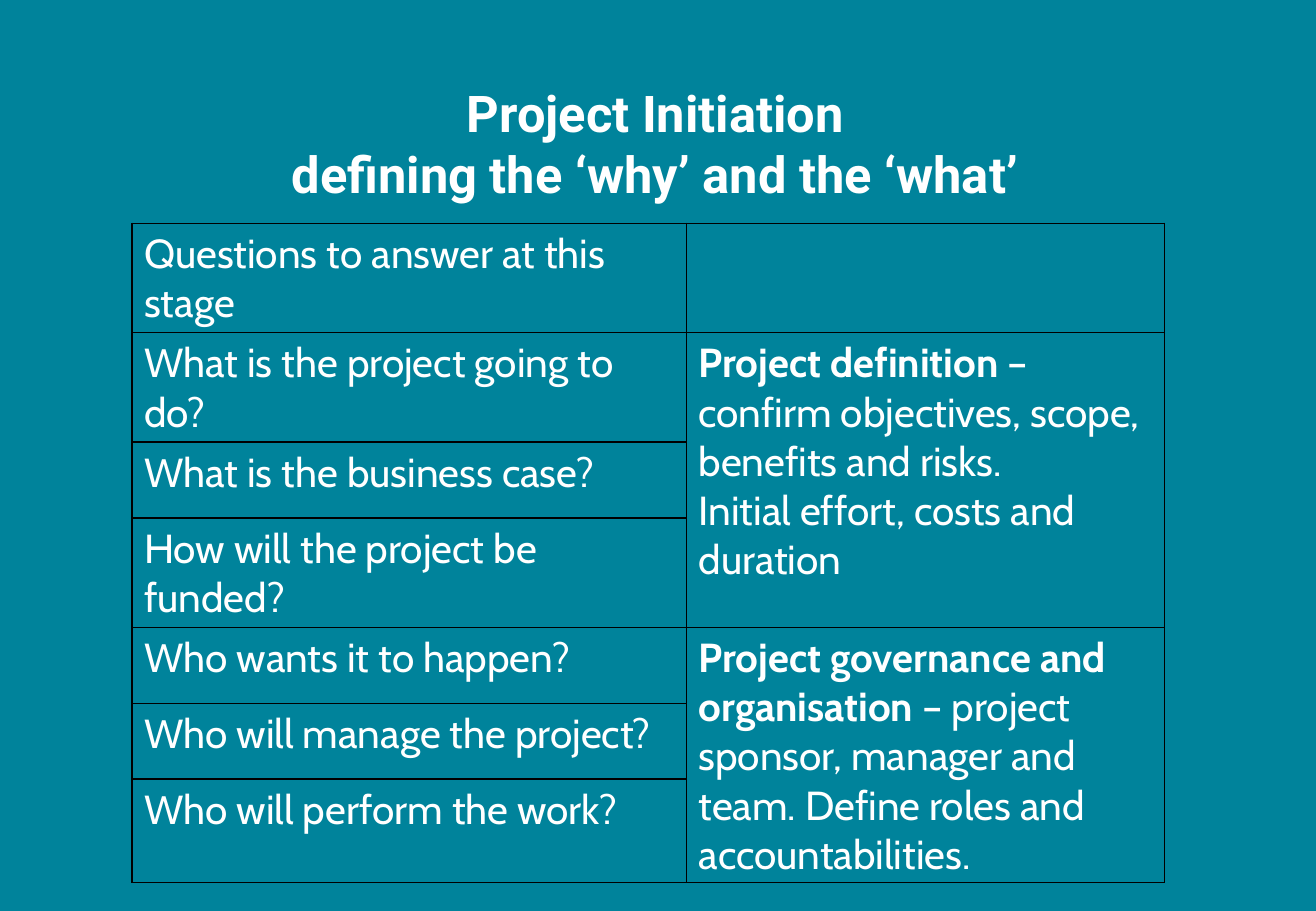
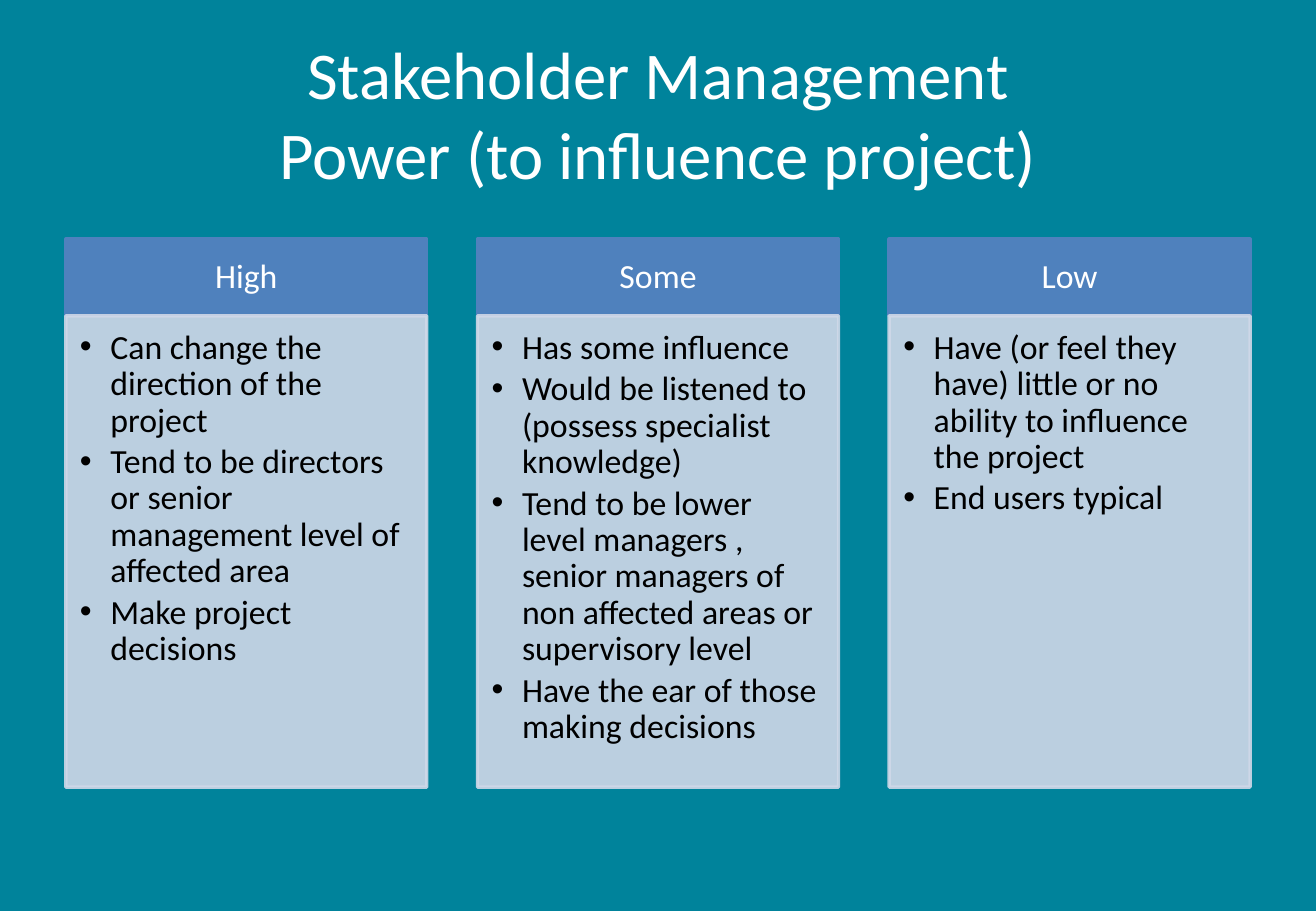
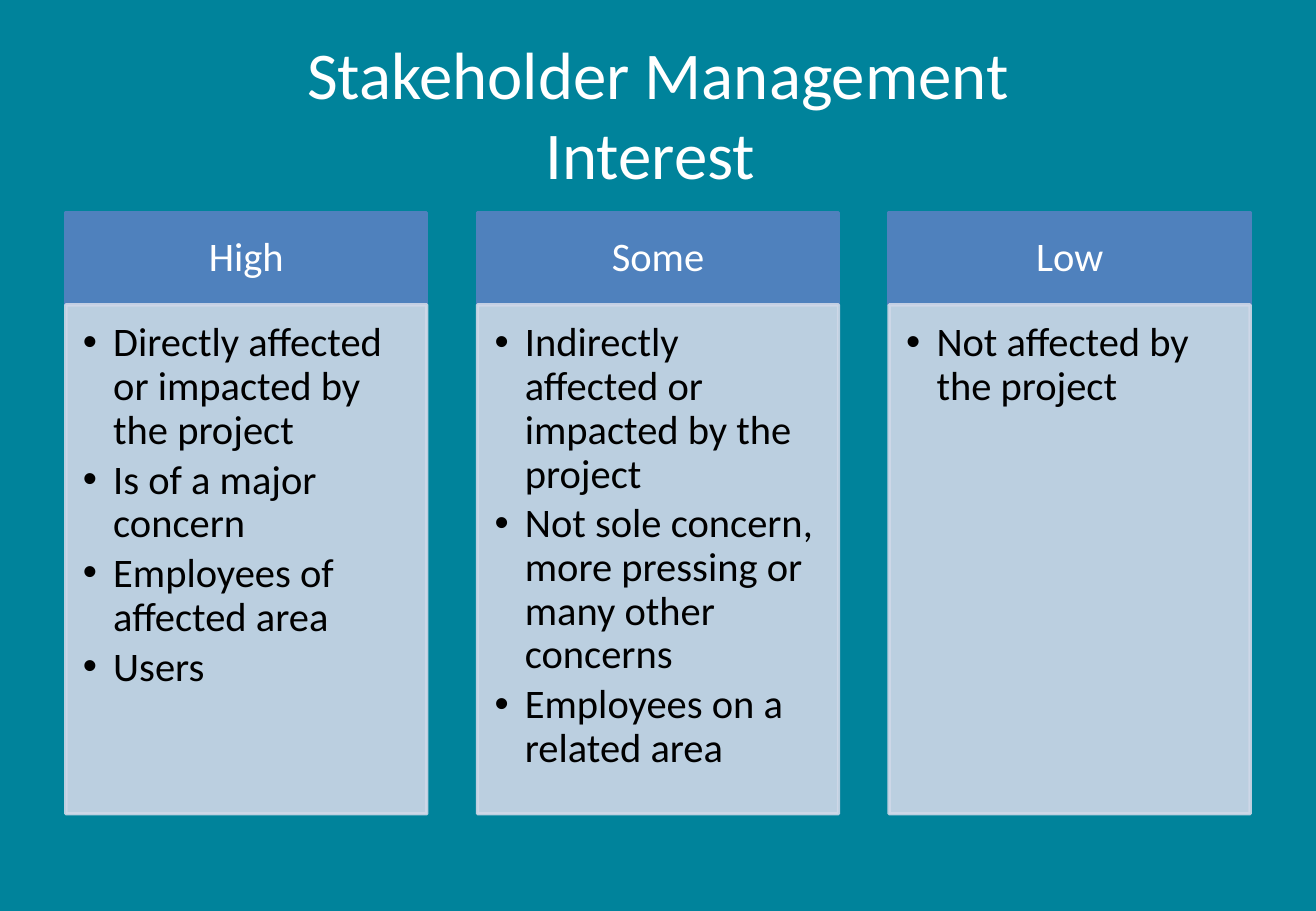
from dataclasses import dataclass

from lxml.etree import SubElement
from pptx import Presentation
from pptx.dml.color import RGBColor
from pptx.enum.shapes import MSO_SHAPE
from pptx.enum.text import MSO_ANCHOR, PP_ALIGN
from pptx.oxml.ns import qn
from pptx.util import Pt

BACKGROUND = "00839B"
WHITE = "FFFFFF"
BLACK = "000000"
HEADER_BLUE = "4F81BD"
BODY_BLUE = "D0D8E8"
BODY_OPACITY = 90

MARGIN = 39
COLUMN_WIDTH = 214
COLUMN_GAP = 30


@dataclass(frozen=True)
class Box:
    left: float
    top: float
    width: float
    height: float

    def lengths(self):
        return Pt(self.left), Pt(self.top), Pt(self.width), Pt(self.height)


@dataclass(frozen=True)
class TitleStyle:
    box: Box
    font_name: str
    size: float
    bold: bool = False


@dataclass(frozen=True)
class Column:
    heading: str
    points: tuple[str, ...]


@dataclass(frozen=True)
class ColumnSlide:
    title: str
    top: float
    header_height: float
    body_height: float
    size: float
    columns: tuple[Column, ...]


@dataclass(frozen=True)
class Answer:
    """A right-hand table cell; paragraphs hold (text, bold) runs."""
    first_row: int
    last_row: int
    paragraphs: tuple[tuple[tuple[str, bool], ...], ...]


INITIATION_TITLE = TitleStyle(Box(56, 42.5, 665, 84), "Roboto", 30, True)
STAKEHOLDER_TITLE = TitleStyle(Box(MARGIN, 21.6, 702, 90), "Calibri", 39.6)

TABLE_BOX = Box(78.3, 132.4, 612, 315)
TABLE_COLUMN_WIDTHS = (328.6, 283.4)
QUESTIONS = (
    "Questions to answer at this stage",
    "What is the project going to do?",
    "What is the business case?",
    "How will the project be funded?",
    "Who wants it to happen?",
    "Who will manage the project?",
    "Who will perform the work?",
)
ANSWERS = (
    Answer(1, 3, (
        (("Project definition ", True),
         ("– confirm objectives, scope, benefits and risks.", False)),
        (("Initial effort, costs and duration", False),),
    )),
    Answer(4, 6, (
        (("Project governance and organisation", True),
         (" – project sponsor, manager and team. "
          "Define roles and accountabilities.", False)),
    )),
)

POWER = ColumnSlide(
    "Stakeholder Management\vPower (to influence project)", 141.8, 45.4, 279.4, 20,
    (
        Column("High", (
            "Can change the direction of the project",
            "Tend to be directors or senior management level of affected area",
            "Make project decisions",
        )),
        Column("Some", (
            "Has some influence",
            "Would be listened to (possess specialist knowledge)",
            "Tend to be lower level managers , senior managers of "
            "non affected areas or supervisory level",
            "Have the ear of those making decisions",
        )),
        Column("Low", (
            "Have (or feel they have) little or no ability to influence the project",
            "End users typical",
        )),
    ),
)
INTEREST = ColumnSlide(
    "Stakeholder Management\vInterest ", 126, 54.7, 301.7, 24,
    (
        Column("High", (
            "Directly affected or impacted by the project",
            "Is of a major concern",
            "Employees of affected area",
            "Users",
        )),
        Column("Some", (
            "Indirectly affected or impacted by the project",
            "Not sole concern, more pressing or many other concerns",
            "Employees on a related area",
        )),
        Column("Low", ("Not affected by the project",)),
    ),
)


def color(value: str) -> RGBColor:
    return RGBColor.from_string(value)


def set_font(font, name: str, size: float, value: str, bold: bool = False) -> None:
    font.name = name
    font.size = Pt(size)
    font.bold = bold
    font.color.rgb = color(value)


def set_insets(frame, left: float, top: float, right: float, bottom: float) -> None:
    frame.margin_left, frame.margin_top = Pt(left), Pt(top)
    frame.margin_right, frame.margin_bottom = Pt(right), Pt(bottom)


def add_title(slide, text: str, style: TitleStyle) -> None:
    frame = slide.shapes.add_textbox(*style.box.lengths()).text_frame
    frame.word_wrap = True
    frame.vertical_anchor = MSO_ANCHOR.MIDDLE
    paragraph = frame.paragraphs[0]
    paragraph.text = text
    paragraph.alignment = PP_ALIGN.CENTER
    set_font(paragraph.font, style.font_name, style.size, WHITE, style.bold)


def add_panel(slide, box: Box, value: str, opacity: int = 100):
    """Add a rectangle whose fill and outline share a colour and opacity."""
    shape = slide.shapes.add_shape(MSO_SHAPE.RECTANGLE, *box.lengths())
    shape.shadow.inherit = False
    shape.fill.solid()
    shape.fill.fore_color.rgb = color(value)
    shape.line.color.rgb = color(value)
    shape.line.width = Pt(2)
    if opacity < 100:
        for element in shape._element.spPr.iter(qn("a:srgbClr")):
            SubElement(element, qn("a:alpha"), val=str(opacity * 1000))
    shape.text_frame.word_wrap = True
    return shape


def add_bullet(paragraph) -> None:
    properties = paragraph._p.get_or_add_pPr()
    properties.set("marL", str(Pt(18)))
    properties.set("indent", str(-Pt(18)))
    SubElement(properties, qn("a:buFont"), typeface="Arial")
    SubElement(properties, qn("a:buChar"), char="•")


def add_column(slide, column: Column, left: float, layout: ColumnSlide) -> None:
    size = layout.size
    header_box = Box(left, layout.top, COLUMN_WIDTH, layout.header_height)
    header = add_panel(slide, header_box, HEADER_BLUE).text_frame
    set_insets(header, 0.56 * size, 0.32 * size, 0.56 * size, 0.32 * size)
    header.vertical_anchor = MSO_ANCHOR.MIDDLE
    heading = header.paragraphs[0]
    heading.text = column.heading
    heading.alignment = PP_ALIGN.CENTER
    heading.line_spacing = 0.9
    set_font(heading.font, "Calibri", size, WHITE)

    body_top = layout.top + layout.header_height
    body_box = Box(left, body_top, COLUMN_WIDTH, layout.body_height)
    body = add_panel(slide, body_box, BODY_BLUE, BODY_OPACITY).text_frame
    set_insets(body, 0.42 * size, 0.42 * size, 0.56 * size, 0.63 * size)
    body.vertical_anchor = MSO_ANCHOR.TOP
    for index, point in enumerate(column.points):
        paragraph = body.add_paragraph() if index else body.paragraphs[0]
        paragraph.text = point
        paragraph.alignment = PP_ALIGN.LEFT
        paragraph.line_spacing = 0.9
        paragraph.space_after = Pt(0.15 * size)
        add_bullet(paragraph)
        set_font(paragraph.font, "Calibri", size, BLACK)


def add_column_slide(slide, layout: ColumnSlide) -> None:
    add_title(slide, layout.title, STAKEHOLDER_TITLE)
    for index, column in enumerate(layout.columns):
        add_column(slide, column, MARGIN + index * (COLUMN_WIDTH + COLUMN_GAP), layout)


def style_cell(cell) -> None:
    """Clear the fill and draw thin black borders on all four sides."""
    properties = cell._tc.get_or_add_tcPr()
    for side in ("lnL", "lnR", "lnT", "lnB"):
        line = SubElement(properties, qn(f"a:{side}"), w=str(Pt(1)))
        fill = SubElement(line, qn("a:solidFill"))
        SubElement(fill, qn("a:srgbClr"), val=BLACK)
    cell.fill.background()


def write_cell(cell, paragraphs) -> None:
    set_insets(cell, 7.2, 3.6, 7.2, 3.6)
    frame = cell.text_frame
    for index, runs in enumerate(paragraphs):
        paragraph = frame.add_paragraph() if index else frame.paragraphs[0]
        for text, bold in runs:
            run = paragraph.add_run()
            run.text = text
            set_font(run.font, "Cabin", 24, WHITE, bold)


def add_question_table(slide) -> None:
    table = slide.shapes.add_table(len(QUESTIONS), 2, *TABLE_BOX.lengths()).table
    table.first_row = table.horz_banding = False
    for column, width in zip(table.columns, TABLE_COLUMN_WIDTHS):
        column.width = Pt(width)
    for row in table.rows:
        row.height = Pt(TABLE_BOX.height / len(QUESTIONS))
    for cell in table.iter_cells():
        style_cell(cell)
    for index, question in enumerate(QUESTIONS):
        write_cell(table.cell(index, 0), (((question, False),),))
    for answer in ANSWERS:
        cell = table.cell(answer.first_row, 1)
        cell.merge(table.cell(answer.last_row, 1))
        write_cell(cell, answer.paragraphs)


def main() -> None:
    presentation = Presentation()
    presentation.slide_width, presentation.slide_height = Pt(780), Pt(540)
    background = presentation.slide_master.background.fill
    background.solid()
    background.fore_color.rgb = color(BACKGROUND)
    blank = presentation.slide_layouts[6]

    slide = presentation.slides.add_slide(blank)
    add_title(slide, "Project Initiation\vdefining the ‘why’ and the ‘what’",
              INITIATION_TITLE)
    add_question_table(slide)

    for layout in (POWER, INTEREST):
        add_column_slide(presentation.slides.add_slide(blank), layout)

    presentation.save("out.pptx")


if __name__ == "__main__":
    main()
